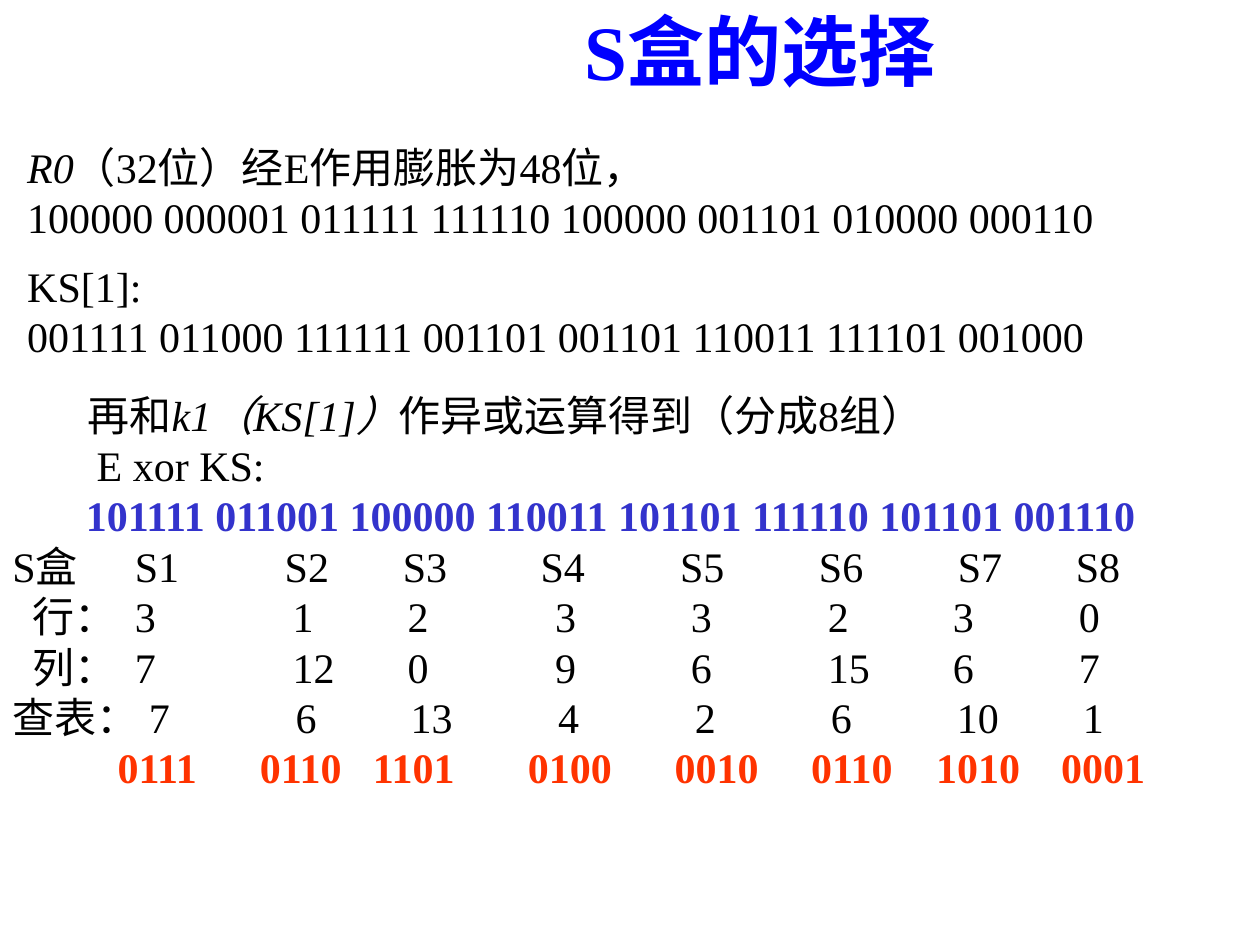
import pptx
import pptx.dml.color
import pptx.enum.shapes
import pptx.enum.text
import pptx.util
from lxml import etree
from pptx.oxml.ns import qn

Cm = pptx.util.Cm
Pt = pptx.util.Pt

COLORS = {"title": "0000FF", "text": "000000", "paper": "FFFFFF",
          "xor": "3333CC", "output": "FF3300"}
FONT = "Times New Roman"

# Tab stops in cm from the text edge: names, indices, lookups, output bits
NAME_TABS = [2.47, 5.49, 7.87, 10.65, 13.46, 16.26, 19.06, 21.44]
INDEX_TABS = [0.4, 2.47, 5.65, 7.97, 10.94, 13.68, 16.44, 18.96, 21.5]
LOOKUP_TABS = [2.75, 5.71, 8.03, 11, 13.76, 16.5, 19.04, 21.58]
OUTPUT_TABS = [2.12, 4.99, 7.27, 10.39, 13.35, 16.1, 18.62, 21.14]

SBOX_ROWS = [
    ("S盒", "S1 S2 S3 S4 S5 S6 S7 S8", NAME_TABS),
    ("\t行：", "3 1 2 3 3 2 3 0", INDEX_TABS),
    ("\t列：", "7 12 0 9 6 15 6 7", INDEX_TABS),
    ("查表：", "7 6 13 4 2 6 10 1", LOOKUP_TABS),
    ("", "0111 0110 1101 0100 0010 0110 1010 0001", OUTPUT_TABS),
]


def rgb(name):
    return pptx.dml.color.RGBColor.from_string(COLORS[name])


def style(paragraph, size=24, color="text", bold=False):
    font = paragraph.font
    font.name, font.size, font.bold = FONT, Pt(size), bold
    font.color.rgb = rgb(color)


def add_runs(paragraph, *runs):
    """Each run is a (text, italic) pair."""
    for text, italic in runs:
        run = paragraph.add_run()
        run.text = text
        run.font.italic = italic


def set_indent(paragraph, indent):
    paragraph._p.get_or_add_pPr().set("marL", str(Cm(indent)))


def set_tabs(paragraph, tabs):
    tab_list = etree.Element(qn("a:tabLst"))
    for position in tabs:
        etree.SubElement(tab_list, qn("a:tab"), pos=str(Cm(position)), algn="l")
    # Tab stops come before the default run properties
    paragraph._p.get_or_add_pPr().insert(0, tab_list)


def add_title(slide, left, top, width, height):
    box = slide.shapes.add_textbox(Cm(left), Cm(top), Cm(width), Cm(height))
    frame = box.text_frame
    frame.word_wrap = True
    frame.vertical_anchor = pptx.enum.text.MSO_ANCHOR.MIDDLE
    paragraph = frame.paragraphs[0]
    paragraph.text = "S盒的选择"
    paragraph.alignment = pptx.enum.text.PP_ALIGN.CENTER
    style(paragraph, 44, "title", True)


def add_bits(slide, left, top, width, height, heading, bits):
    """A heading line over its 48 bits on white paper."""
    shape = slide.shapes.add_shape(
        pptx.enum.shapes.MSO_SHAPE.RECTANGLE, Cm(left), Cm(top), Cm(width), Cm(height))
    shape.shadow.inherit = False
    shape.fill.solid()
    shape.fill.fore_color.rgb = rgb("paper")
    shape.line.fill.background()
    frame = shape.text_frame
    frame.word_wrap = True
    frame.vertical_anchor = pptx.enum.text.MSO_ANCHOR.TOP
    add_runs(frame.paragraphs[0], *heading)
    frame.add_paragraph().text = bits
    for paragraph in frame.paragraphs:
        paragraph.alignment = pptx.enum.text.PP_ALIGN.LEFT
        style(paragraph)


def add_sbox_lookup(slide, left, top, width, height):
    box = slide.shapes.add_textbox(Cm(left), Cm(top), Cm(width), Cm(height))
    frame = box.text_frame
    frame.word_wrap = True

    # XOR of the expanded half with the round key
    paragraph = frame.paragraphs[0]
    add_runs(paragraph, ("再和", False), ("k1（KS[1]）", True),
             ("作异或运算得到（分成8组）", False))
    set_indent(paragraph, 1.52)
    style(paragraph)
    for text, indent, color, bold in [
        ("E xor KS:", 1.7, "text", False),
        ("101111 011001 100000 110011 101101 111110 101101 001110", 1.48, "xor", True),
    ]:
        paragraph = frame.add_paragraph()
        paragraph.text = text
        set_indent(paragraph, indent)
        style(paragraph, color=color, bold=bold)

    # One tabbed line for each step of the lookup
    for label, values, tabs in SBOX_ROWS:
        paragraph = frame.add_paragraph()
        paragraph.text = "\t".join([label] + values.split())
        set_tabs(paragraph, tabs)
        is_output = tabs is OUTPUT_TABS
        style(paragraph, color="output" if is_output else "text", bold=is_output)


def main():
    presentation = pptx.Presentation()
    presentation.slide_width, presentation.slide_height = Cm(25.4), Cm(19.05)
    slide = presentation.slides.add_slide(presentation.slide_layouts[6])
    add_title(slide, 10.11, 0, 10.44, 2)
    add_bits(slide, 0.3, 2.72, 24.71, 2.29,
             [("R0", True), ("（32位）经E作用膨胀为48位，", False)],
             "100000 000001 011111 111110 100000 001101 010000 000110")
    add_sbox_lookup(slide, 0, 7.72, 24.89, 8.46)
    add_bits(slide, 0.3, 5.12, 24.61, 2.29, [("KS[1]:", False)],
             "001111 011000 111111 001101 001101 110011 111101 001000")
    presentation.save("out.pptx")


if __name__ == "__main__":
    main()
